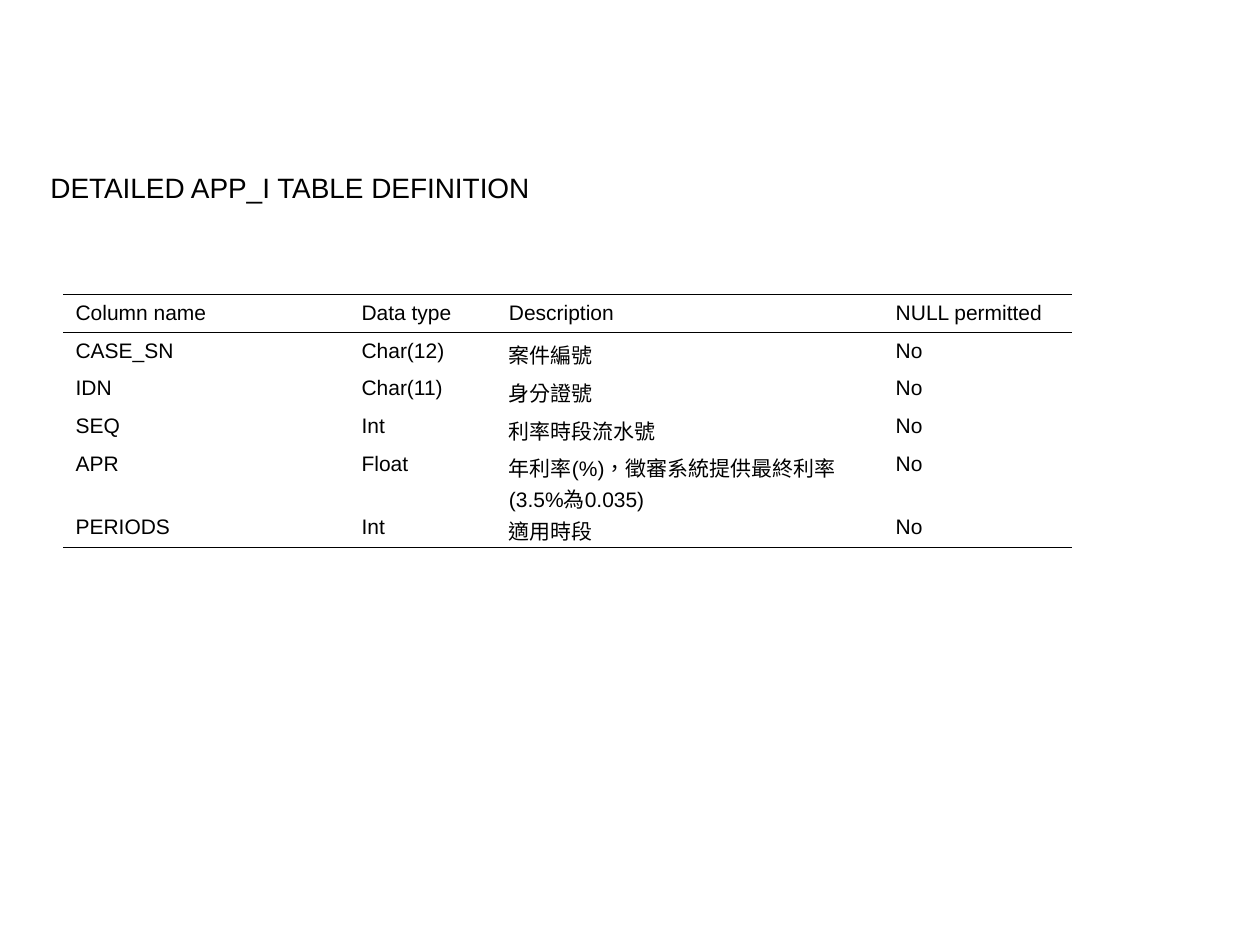
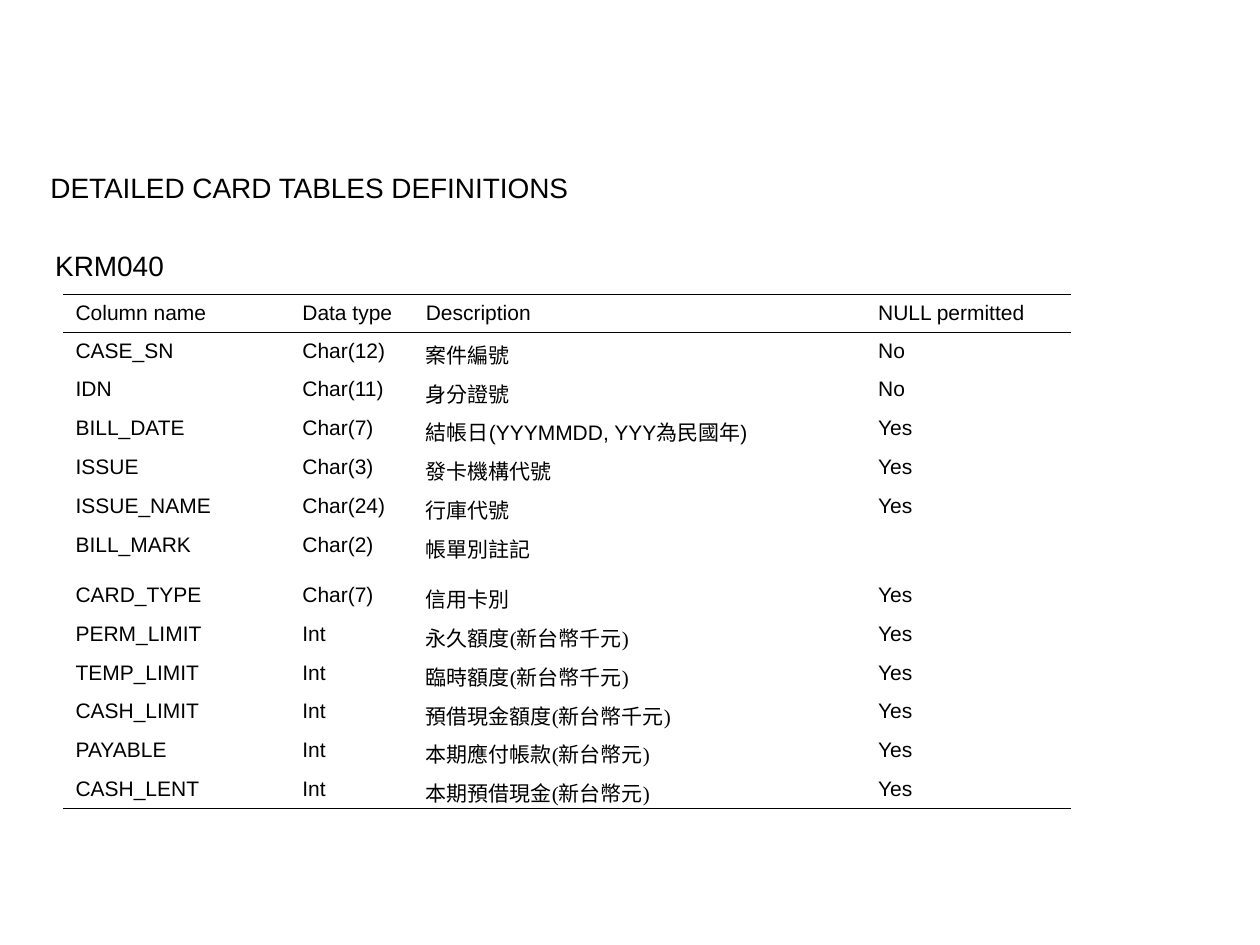
from dataclasses import dataclass
from typing import Optional

from lxml.etree import SubElement
from pptx import Presentation
from pptx.dml.color import RGBColor
from pptx.enum.lang import MSO_LANGUAGE_ID as Language
from pptx.enum.text import MSO_ANCHOR as Anchor, MSO_AUTO_SIZE as AutoSize, PP_ALIGN as Align
from pptx.oxml.ns import qn
from pptx.util import Inches, Pt


@dataclass(frozen=True)
class Theme:
    ink: str = "000000"
    sans: str = "Arial"
    serif: str = "Times New Roman"
    heading_size: int = 16
    cell_size: int = 12
    outer_rule: float = 0.75
    header_rule: float = 0.45


THEME = Theme()
HEADER = ("Column name", "Data type", "Description", "NULL permitted")


@dataclass(frozen=True)
class Field:
    name: str
    data_type: str
    description: str
    nullable: str
    unit: str = ""


@dataclass(frozen=True)
class Definition:
    title: str
    widths: tuple[float, ...]
    heights: tuple[float, ...]
    fields: tuple[Field, ...]
    subtitle: str = ""


KEY_FIELDS = (
    Field("CASE_SN", "Char(12)", "案件編號", "No"),
    Field("IDN", "Char(11)", "身分證號", "No"),
)

APPLICATION = Definition(
    title="DETAILED APP_I TABLE DEFINITION",
    widths=(2.27, 1.17, 3.07, 1.5),
    heights=(0.3,) * 4 + (0.5, 0.3),
    fields=KEY_FIELDS + (
        Field("SEQ", "Int", "利率時段流水號", "No"),
        Field("APR", "Float", "年利率(%)，徵審系統提供最終利率(3.5%為0.035)", "No"),
        Field("PERIODS", "Int", "適用時段", "No"),
    ),
)

CARD_BILLS = Definition(
    title="DETAILED CARD TABLES DEFINITIONS",
    subtitle="KRM040",
    widths=(1.8, 0.98, 3.59, 1.63),
    heights=(0.3,) + ((3.99 - 2 * 0.3) / 11,) * 11 + (0.3,),
    fields=KEY_FIELDS + (
        Field("BILL_DATE", "Char(7)", "結帳日(YYYMMDD, YYY為民國年)", "Yes"),
        Field("ISSUE", "Char(3)", "發卡機構代號", "Yes"),
        Field("ISSUE_NAME", "Char(24)", "行庫代號", "Yes"),
        Field("BILL_MARK", "Char(2)", "帳單別註記", ""),
        Field("CARD_TYPE", "Char(7)", "信用卡別", "Yes"),
        Field("PERM_LIMIT", "Int", "永久額度", "Yes", "新台幣千元"),
        Field("TEMP_LIMIT", "Int", "臨時額度", "Yes", "新台幣千元"),
        Field("CASH_LIMIT", "Int", "預借現金額度", "Yes", "新台幣千元"),
        Field("PAYABLE", "Int", "本期應付帳款", "Yes", "新台幣元"),
        Field("CASH_LENT", "Int", "本期預借現金", "Yes", "新台幣元"),
    ),
)


def add_span(para, text: str, size: int, face: str = THEME.sans) -> None:
    span = para.add_run()
    span.text = text
    span.font.size = Pt(size)
    span.font.name = face
    span.font.color.rgb = RGBColor.from_string(THEME.ink)
    span.font.language_id = Language.TRADITIONAL_CHINESE


def set_heading(box, text: str, left: float, top: float, width: float, wrap: bool) -> None:
    box.left, box.top = Inches(left), Inches(top)
    box.width, box.height = Inches(width), Inches(0.37)
    frame = box.text_frame
    frame.word_wrap = wrap
    frame.auto_size = AutoSize.SHAPE_TO_FIT_TEXT
    frame.vertical_anchor = Anchor.TOP
    para = frame.paragraphs[0]
    para.alignment = Align.LEFT
    add_span(para, text, THEME.heading_size)


def set_borders(cell, top: Optional[float], bottom: Optional[float]) -> None:
    properties = cell._tc.get_or_add_tcPr()
    for side, weight in (("L", None), ("R", None), ("T", top), ("B", bottom)):
        line = SubElement(properties, qn(f"a:ln{side}"))
        if weight is None:
            SubElement(line, qn("a:noFill"))
            continue
        line.set("w", str(int(Pt(weight))))
        fill = SubElement(line, qn("a:solidFill"))
        SubElement(fill, qn("a:srgbClr")).set("val", THEME.ink)


def add_definition_table(page, definition: Definition) -> None:
    widths, heights = definition.widths, definition.heights
    table = page.shapes.add_table(
        len(heights), len(widths), Inches(0.5), Inches(2.34),
        Inches(sum(widths)), Inches(sum(heights)),
    ).table
    table.first_row = table.horz_banding = False
    for column, width in zip(table.columns, widths):
        column.width = Inches(width)
    for row, height in zip(table.rows, heights):
        row.height = Inches(height)

    rules = {0: THEME.outer_rule, 1: THEME.header_rule, len(heights): THEME.outer_rule}
    for index, field in enumerate((Field(*HEADER),) + definition.fields):
        texts = (field.name, field.data_type, field.description, field.nullable)
        for cell, text in zip(table.rows[index].cells, texts):
            set_borders(cell, rules.get(index), rules.get(index + 1))
            cell.fill.background()
            if text:
                add_span(cell.text_frame.paragraphs[0], text, THEME.cell_size)
        if field.unit:
            para = table.cell(index, 2).text_frame.paragraphs[0]
            add_span(para, "(", THEME.cell_size, THEME.serif)
            add_span(para, field.unit, THEME.cell_size)
            add_span(para, ")", THEME.cell_size, THEME.serif)


def add_page(deck, definition: Definition) -> None:
    page = deck.slides.add_slide(deck.slide_layouts.get_by_name("Title Only"))
    set_heading(page.shapes.title, definition.title, 0.3, 1.3, 9.29, True)
    if definition.subtitle:
        box = page.shapes.add_textbox(0, 0, 0, 0)
        set_heading(box, definition.subtitle, 0.34, 1.92, 1.06, False)
    add_definition_table(page, definition)


def main() -> None:
    deck = Presentation()
    deck.slide_width, deck.slide_height = Inches(10), Inches(7.5)
    for definition in (APPLICATION, CARD_BILLS):
        add_page(deck, definition)
    deck.save("out.pptx")


if __name__ == "__main__":
    main()
